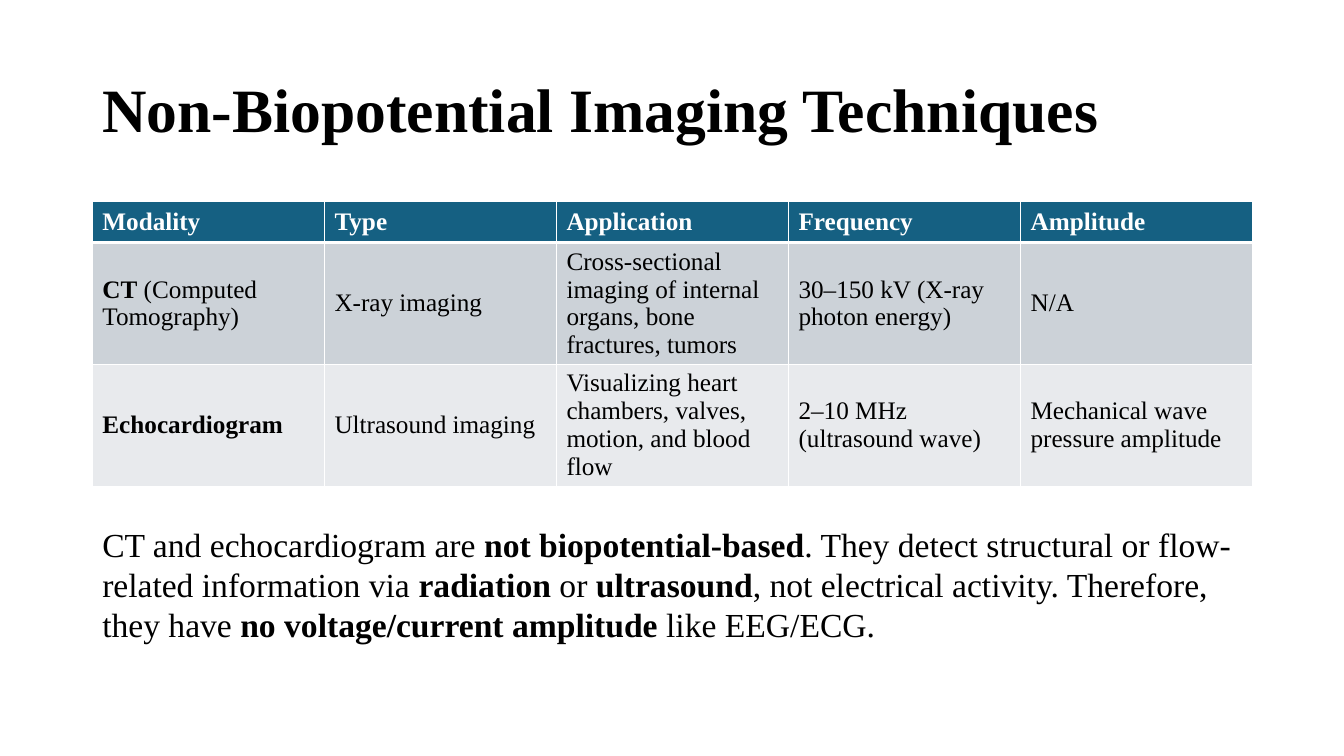
from dataclasses import dataclass

from lxml import etree
from pptx import Presentation, util as u
from pptx.dml.color import RGBColor
from pptx.enum import text
from pptx.oxml import ns

PX = 9525
FONT = "Times New Roman"
COLOURS = {
    "ink": "000000",
    "white": "FFFFFF",
    "header": "156082",
    "band_dark": "CCD2D8",
    "band_light": "E8EAED",
}
LEFT, WIDTH = 88, 1104
COLUMN_WIDTH = 221


@dataclass(frozen=True)
class ModalityRow:
    cells: tuple[str, ...]
    height: int
    fill: str
    ink: str = "ink"
    top_line: int = 1
    bottom_line: int = 1


ROWS = (
    ModalityRow(
        ("**Modality**", "**Type**", "**Application**", "**Frequency**", "**Amplitude**"),
        39, "header", ink="white", bottom_line=3,
    ),
    ModalityRow(
        ("**CT** (Computed Tomography)", "X-ray imaging",
         "Cross-sectional imaging of internal organs, bone fractures, tumors",
         "30–150 kV (X-ray photon energy)", "N/A"),
        116, "band_dark", top_line=3,
    ),
    ModalityRow(
        ("**Echocardiogram**", "Ultrasound imaging",
         "Visualizing heart chambers, valves, motion, and blood flow",
         "2–10 MHz (ultrasound wave)", "Mechanical wave pressure amplitude"),
        116, "band_light",
    ),
)
SUMMARY = (
    "CT and echocardiogram are **not biopotential-based**. They detect structural or "
    "flow-related information via **radiation** or **ultrasound**, not electrical activity. "
    "Therefore, they have **no voltage/current amplitude** like EEG/ECG."
)


def px(length: int) -> u.Emu:
    return u.Emu(length * PX)


def colour(name: str) -> RGBColor:
    return RGBColor.from_string(COLOURS[name])


def write(paragraph, marked: str, size: int, ink: str = "ink") -> None:
    """Fill a paragraph, setting the parts between ** marks in bold."""
    paragraph.font.name = FONT
    paragraph.font.size = u.Pt(size)
    paragraph.font.color.rgb = colour(ink)
    for index, part in enumerate(marked.split("**")):
        if part:
            run = paragraph.add_run()
            run.text = part
            run.font.bold = index % 2 == 1


def draw_borders(cell, row: ModalityRow) -> None:
    properties = cell._tc.get_or_add_tcPr()
    widths = {"lnL": 1, "lnR": 1, "lnT": row.top_line, "lnB": row.bottom_line}
    for side, points in widths.items():
        line = etree.SubElement(properties, ns.qn(f"a:{side}"), w=str(u.Pt(points)))
        solid = etree.SubElement(line, ns.qn("a:solidFill"))
        etree.SubElement(solid, ns.qn("a:srgbClr"), val=COLOURS["white"])


def add_title(slide) -> None:
    title = slide.shapes.title
    title.left, title.top, title.width, title.height = map(px, (LEFT, 38, WIDTH, 139))
    frame = title.text_frame
    frame.word_wrap = True
    frame.auto_size = text.MSO_AUTO_SIZE.NONE
    frame.vertical_anchor = text.MSO_ANCHOR.MIDDLE
    heading = frame.paragraphs[0]
    heading.alignment = text.PP_ALIGN.LEFT
    heading.line_spacing = 0.9
    write(heading, "**Non-Biopotential Imaging Techniques**", 44)


def add_modalities(slide) -> None:
    column_count = len(ROWS[0].cells)
    height = sum(row.height for row in ROWS)
    modalities = slide.shapes.add_table(
        len(ROWS), column_count, px(LEFT), px(192), px(WIDTH), px(height)
    ).table
    modalities.horz_banding = False
    for column in modalities.columns:
        column.width = px(COLUMN_WIDTH)
    for row, table_row in zip(ROWS, modalities.rows):
        table_row.height = px(row.height)
        for wording, cell in zip(row.cells, table_row.cells):
            draw_borders(cell, row)
            cell.fill.solid()
            cell.fill.fore_color.rgb = colour(row.fill)
            cell.vertical_anchor = text.MSO_ANCHOR.MIDDLE
            write(cell.text_frame.paragraphs[0], wording, 18, row.ink)


def add_summary(slide) -> None:
    summary = slide.shapes.add_textbox(*map(px, (LEFT, 494, WIDTH, 126)))
    summary.text_frame.word_wrap = True
    summary.text_frame.auto_size = text.MSO_AUTO_SIZE.SHAPE_TO_FIT_TEXT
    write(summary.text_frame.paragraphs[0], SUMMARY, 24)


def main() -> None:
    deck = Presentation()
    deck.slide_width, deck.slide_height = px(1280), px(720)
    slide = deck.slides.add_slide(deck.slide_layouts.get_by_name("Title Only"))
    add_title(slide)
    add_modalities(slide)
    add_summary(slide)
    deck.save("out.pptx")


if __name__ == "__main__":
    main()
